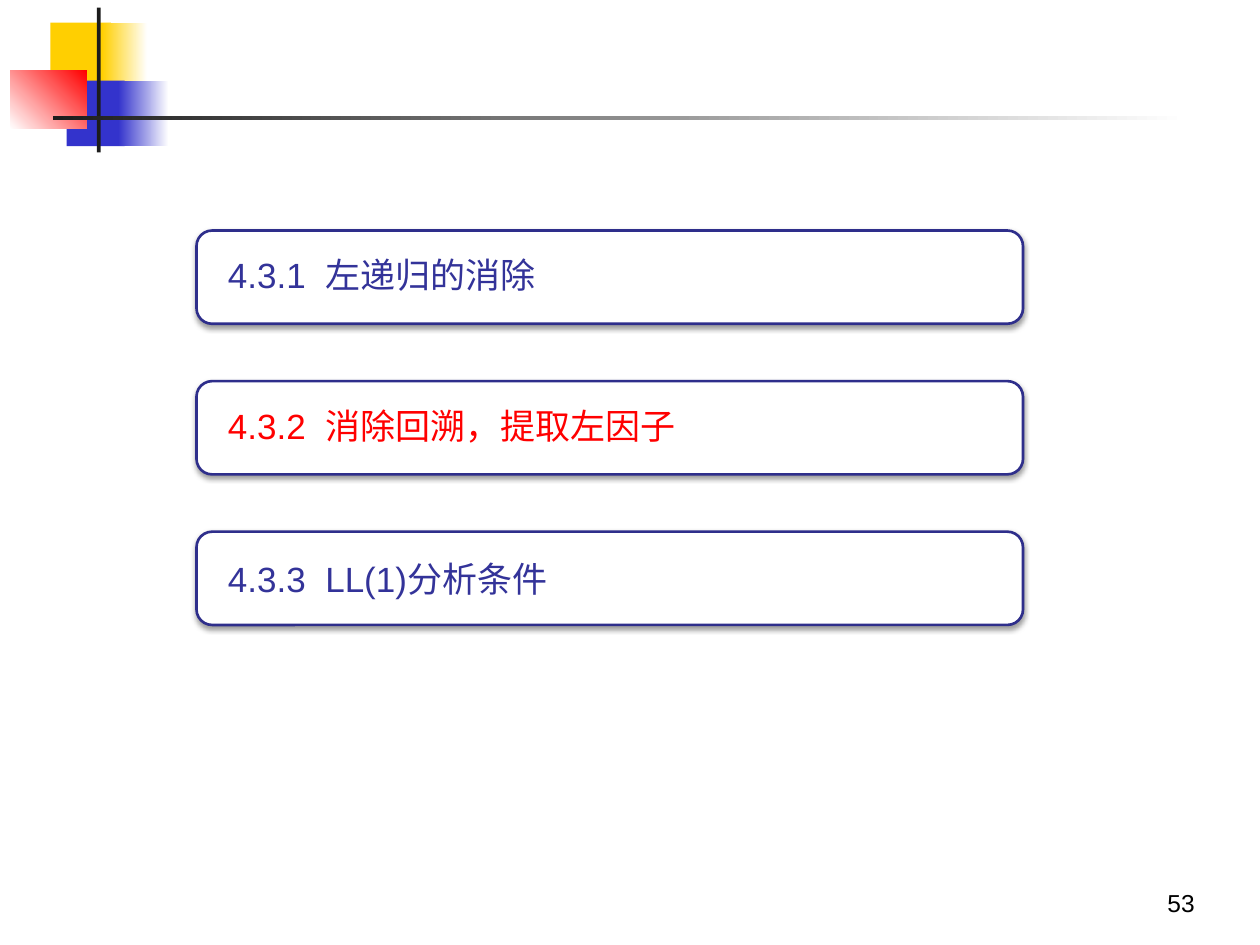
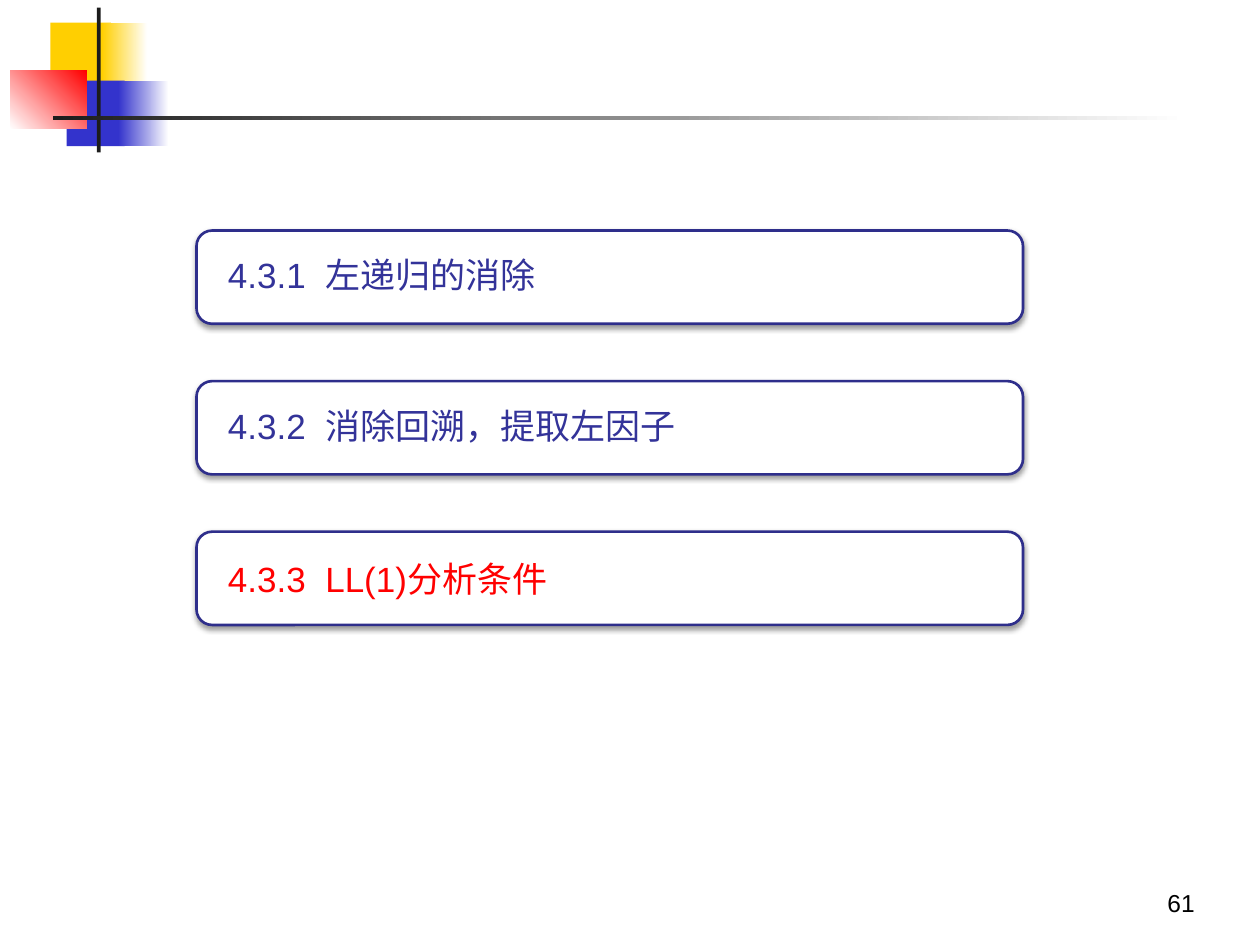
from lxml import etree
from pptx import Presentation
from pptx import util as u
from pptx.dml import color
from pptx.enum import shapes, text
from pptx.oxml import ns

COLUMNS, ROWS = 100, 75
CELL = u.Inches(0.1)
WHITE, BLACK, INK = "FFFFFF", "000000", "1C1C1C"
YELLOW, BLUE, RED = "FFCF01", "3333CC", "FF0000"
NAVY, BORDER = "333399", "2E2E8B"
FONT = "Arial"

SECTIONS = [
    ("4.3.1  左递归的消除", 0.9),
    ("4.3.2  消除回溯，提取左因子", 0.9),
    ("4.3.3  LL(1)分析条件", 1.0),
]
PAGES = [("53", 1), ("61", 2)]
SECTION_AREA = (15.6, 18.3, 65.6, 31.3)
CARD_HEIGHT = 7.4
NUMBER_AREA = (75, 68.3, 20.8, 5)
EMBLEM = [
    ((4, 1.8, 4.8, 5.2), [YELLOW], 0),
    ((8.1, 1.8, 3.6, 5.2), [YELLOW, WHITE], 0),
    ((5.3, 6.4, 4.6, 5.2), [BLUE], 0),
    ((9.4, 6.4, 4, 5.2), [BLUE, WHITE], 0),
    ((0.8, 5.6, 6.1, 4.6), [WHITE, RED], 45),
    ((7.7, 0.6, 0.3, 11.5), [INK], 0),
    ((4.2, 9.2, 90, 0.3), [INK, WHITE], 0),
]


def rgb(value):
    return color.RGBColor.from_string(value)


def emu(area):
    return [round(length * CELL) for length in area]


def paint(shape, colours, angle=0):
    if len(colours) == 1:
        shape.fill.solid()
        shape.fill.fore_color.rgb = rgb(colours[0])
        return
    shape.fill.gradient()
    shape.fill.gradient_angle = angle
    for stop, colour in zip(shape.fill.gradient_stops, colours):
        stop.color.rgb = rgb(colour)


def add_block(holder, kind, area, colours, angle=0):
    block = holder.add_shape(kind, *emu(area))
    block.shadow.inherit = False
    block.line.fill.background()
    paint(block, colours, angle)
    return block


def add_label(holder, area, words, size, colour, anchor):
    box = holder.add_textbox(*emu(area))
    frame = box.text_frame
    frame.word_wrap = True
    frame.vertical_anchor = anchor
    para = frame.paragraphs[0]
    para.text = words
    para.font.name = FONT
    para.font.size = u.Pt(size)
    para.font.color.rgb = rgb(colour)
    return frame


def add_soft_shadow(shape):
    effects = shape.element.spPr.find(ns.qn("a:effectLst"))
    shadow = etree.SubElement(effects, ns.qn("a:outerShdw"), blurRad=str(u.Pt(3.1)),
                              dist=str(u.Pt(1.6)), dir="5400000", rotWithShape="0")
    tint = etree.SubElement(shadow, ns.qn("a:srgbClr"), val=BLACK)
    etree.SubElement(tint, ns.qn("a:alpha"), val="38000")


def add_emblem(layout, page):
    for placeholder in list(layout.placeholders):
        layout.shapes.element.remove(placeholder.element)
    for area, colours, angle in EMBLEM:
        block = add_block(page.shapes, shapes.MSO_SHAPE.RECTANGLE, area, colours, angle)
        layout.shapes.element.append(block.element)


def add_card(page, area, words, spacing, colour):
    left, top, width, height = area
    group = page.shapes.add_group_shape().shapes
    card = add_block(group, shapes.MSO_SHAPE.ROUNDED_RECTANGLE, area, [WHITE])
    card.line.color.rgb = rgb(BORDER)
    card.line.width = u.Pt(1.5)
    add_soft_shadow(card)
    inner = (left + 0.5, top + 0.35, width - 0.9, height - 0.7)
    frame = add_label(group, inner, words, 20, colour, text.MSO_ANCHOR.MIDDLE)
    frame.margin_left = frame.margin_right = 2 * CELL
    frame.margin_top = frame.margin_bottom = 0
    frame.paragraphs[0].line_spacing = spacing


def add_sections(page, area, current):
    left, top, width, height = area
    pitch = (height - CARD_HEIGHT) / (len(SECTIONS) - 1)
    for index, (words, spacing) in enumerate(SECTIONS):
        colour = RED if index == current else NAVY
        add_card(page, (left, top + index * pitch, width, CARD_HEIGHT), words, spacing, colour)


def add_number(page, area, number):
    frame = add_label(page.shapes, area, number, 14, BLACK, text.MSO_ANCHOR.BOTTOM)
    frame.paragraphs[0].alignment = text.PP_ALIGN.RIGHT


def main():
    deck = Presentation()
    deck.slide_width, deck.slide_height = COLUMNS * CELL, ROWS * CELL
    layout = deck.slide_layouts[6]
    pages = [deck.slides.add_slide(layout) for _ in PAGES]
    add_emblem(layout, pages[0])
    for page, (number, current) in zip(pages, PAGES):
        add_number(page, NUMBER_AREA, number)
        add_sections(page, SECTION_AREA, current)
    deck.save("out.pptx")


if __name__ == "__main__":
    main()
